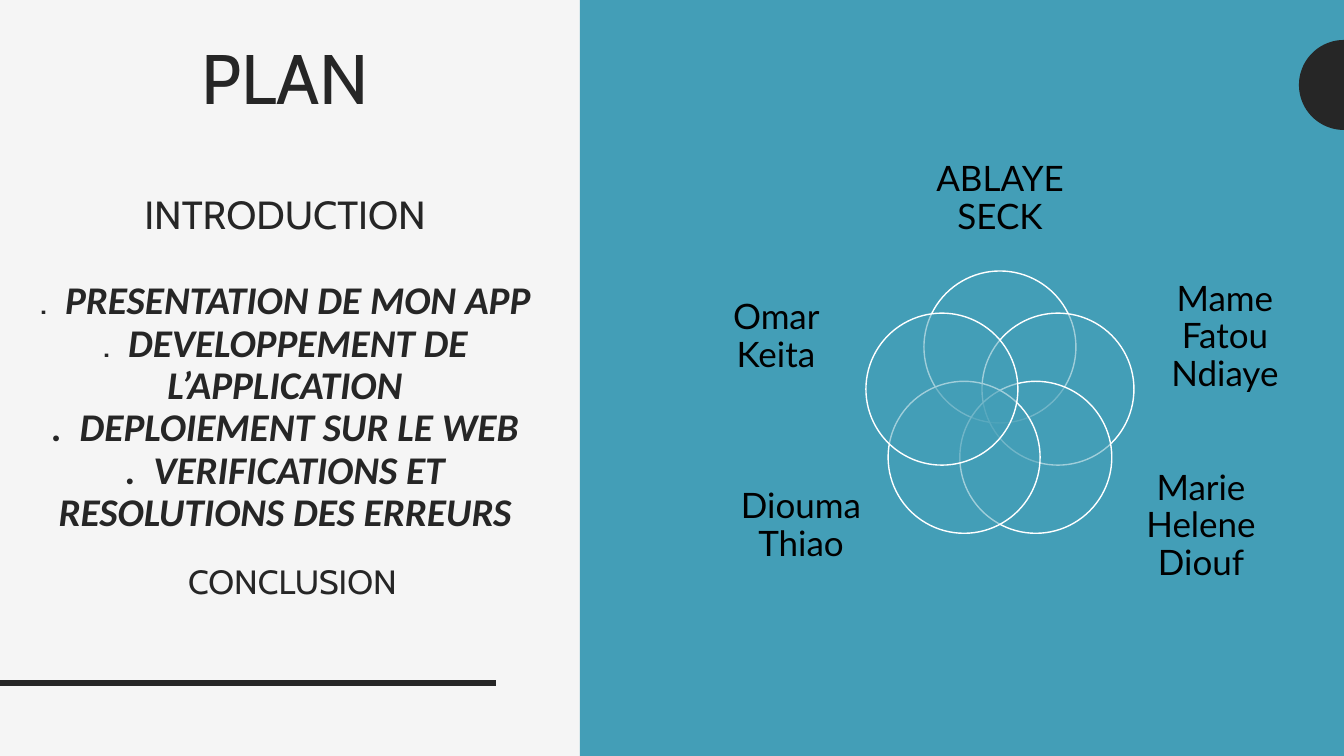
from dataclasses import dataclass
from math import cos, pi, sin

from lxml.etree import SubElement
from pptx import Presentation
from pptx.dml.color import RGBColor
from pptx.enum.shapes import MSO_CONNECTOR, MSO_SHAPE
from pptx.enum.text import MSO_ANCHOR, MSO_AUTO_SIZE, PP_ALIGN
from pptx.oxml.ns import qn
from pptx.util import Emu, Pt


@dataclass(frozen=True)
class Theme:
    paper: str = "F5F5F5"
    ink: str = "262626"
    teal: str = "439EB7"
    white: str = "FFFFFF"
    black: str = "000000"
    heading_font: str = "Cabin"
    item_font: str = "Calibri"
    label_font: str = "Lato"
    heading_size: int = 50
    item_size: int = 28
    closing_size: int = 24
    label_size: int = 25
    line_spacing: float = 0.9


THEME = Theme()

# Content: each plan line is (spans, size, space before in points, left indent in px);
# each span is (text, is emphasised)
PLAN_LINES = [
    ([("PLAN", False)], THEME.heading_size, 0, 0),
    ([("INTRODUCTION", False)], THEME.item_size, 54, 0),
    ([(".  ", False), ("PRESENTATION DE MON APP", True)], THEME.item_size, 31, 0),
    ([(".  ", False), ("DEVELOPPEMENT DE L’APPLICATION", True)], THEME.item_size, 0, 0),
    ([(".  DEPLOIEMENT SUR LE WEB", True)], THEME.item_size, 0, 0),
    ([(".  VERIFICATIONS ET RESOLUTIONS DES ERREURS", True)], THEME.item_size, 0, 0),
    ([("CONCLUSION", False)], THEME.closing_size, 22, 15),
]

# Members clockwise from the top: name and label box (left, top, width, height) in px
MEMBERS = [
    ("ABLAYE SECK", (912, 148, 176, 102)),
    ("Mame Fatou Ndiaye", (1146, 282, 158, 111)),
    ("Marie Helene Diouf", (1122, 471, 158, 111)),
    ("Diouma Thiao", (722, 471, 158, 111)),
    ("Omar Keita", (697, 282, 158, 111)),
]

# Layout in px
SLIDE_WIDTH, SLIDE_HEIGHT = 1344, 756
PANEL_LEFT = 580
TITLE_BOX = (0, 39, 570, 650)
RULE_RIGHT, RULE_TOP = 496, 683
DISC_CENTER, DISC_RADIUS = 85, 45
VENN_CENTER, VENN_RADIUS, CIRCLE_SIZE = (1000, 408), 61, 152


def px(length):
    return Emu(round(length * 914400 / 100.8))


def color(value):
    return RGBColor.from_string(value)


def fill_with(shape, value):
    shape.shadow.inherit = False
    shape.fill.solid()
    shape.fill.fore_color.rgb = color(value)
    shape.line.fill.background()


def add_span(para, text, font, size, value, emphasised=False):
    span = para.add_run()
    span.text = text
    span.font.name = font
    span.font.size = Pt(size)
    span.font.bold = span.font.italic = emphasised
    span.font.color.rgb = color(value)


def format_paragraph(para, space_before=0):
    para.alignment = PP_ALIGN.CENTER
    para.line_spacing = THEME.line_spacing
    para.space_before = Pt(space_before)


def add_backdrop(page):
    page.background.fill.solid()
    page.background.fill.fore_color.rgb = color(THEME.paper)

    panel = page.shapes.add_shape(MSO_SHAPE.RECTANGLE, px(PANEL_LEFT), 0,
                                  px(SLIDE_WIDTH - PANEL_LEFT), px(SLIDE_HEIGHT))
    fill_with(panel, THEME.teal)

    rule = page.shapes.add_connector(MSO_CONNECTOR.STRAIGHT, 0, px(RULE_TOP),
                                     px(RULE_RIGHT), px(RULE_TOP))
    rule.line.color.rgb = color(THEME.ink)
    rule.line.width = Pt(4.5)
    SubElement(rule.element.spPr, qn("a:effectLst"))

    # Half disc against the right edge
    steps = 48
    points = [(px(SLIDE_WIDTH - DISC_RADIUS * sin(pi * step / steps)),
               px(DISC_CENTER - DISC_RADIUS * cos(pi * step / steps)))
              for step in range(steps + 1)]
    outline = page.shapes.build_freeform(*points[0])
    outline.add_line_segments(points[1:], close=True)
    fill_with(outline.convert_to_shape(), THEME.ink)


def add_plan(page):
    title = page.shapes.title
    title.left, title.top, title.width, title.height = map(px, TITLE_BOX)
    frame = title.text_frame
    frame.word_wrap = True
    frame.auto_size = MSO_AUTO_SIZE.NONE
    frame.vertical_anchor = MSO_ANCHOR.TOP
    for index, (spans, size, space_before, indent) in enumerate(PLAN_LINES):
        para = frame.add_paragraph() if index else frame.paragraphs[0]
        format_paragraph(para, space_before)
        if indent:
            para._p.get_or_add_pPr().set("marL", str(px(indent)))
        for text, emphasised in spans:
            font = THEME.item_font if emphasised else THEME.heading_font
            add_span(para, text, font, size, THEME.ink, emphasised)


def add_circle(page, index):
    angle = 2 * pi * index / len(MEMBERS)
    left = VENN_CENTER[0] + VENN_RADIUS * sin(angle) - CIRCLE_SIZE / 2
    top = VENN_CENTER[1] - VENN_RADIUS * cos(angle) - CIRCLE_SIZE / 2
    circle = page.shapes.add_shape(MSO_SHAPE.OVAL, px(left), px(top),
                                   px(CIRCLE_SIZE), px(CIRCLE_SIZE))
    fill_with(circle, THEME.teal)
    circle.line.color.rgb = color(THEME.white)
    circle.line.width = Pt(1)
    fill_color = circle.element.spPr.find(qn("a:solidFill")).find(qn("a:srgbClr"))
    SubElement(fill_color, qn("a:alpha"), val="50000")


def add_label(page, name, bounds):
    box = page.shapes.add_textbox(*map(px, bounds))
    frame = box.text_frame
    frame.word_wrap = True
    frame.vertical_anchor = MSO_ANCHOR.MIDDLE
    frame.margin_left = frame.margin_right = frame.margin_top = frame.margin_bottom = 0
    para = frame.paragraphs[0]
    format_paragraph(para)
    add_span(para, name, THEME.label_font, THEME.label_size, THEME.black)


def main():
    deck = Presentation()
    deck.slide_width, deck.slide_height = px(SLIDE_WIDTH), px(SLIDE_HEIGHT)
    page = deck.slides.add_slide(deck.slide_layouts[5])
    add_backdrop(page)
    add_plan(page)
    for index, (name, bounds) in enumerate(MEMBERS):
        add_circle(page, index)
        add_label(page, name, bounds)
    deck.save("out.pptx")


if __name__ == "__main__":
    main()
